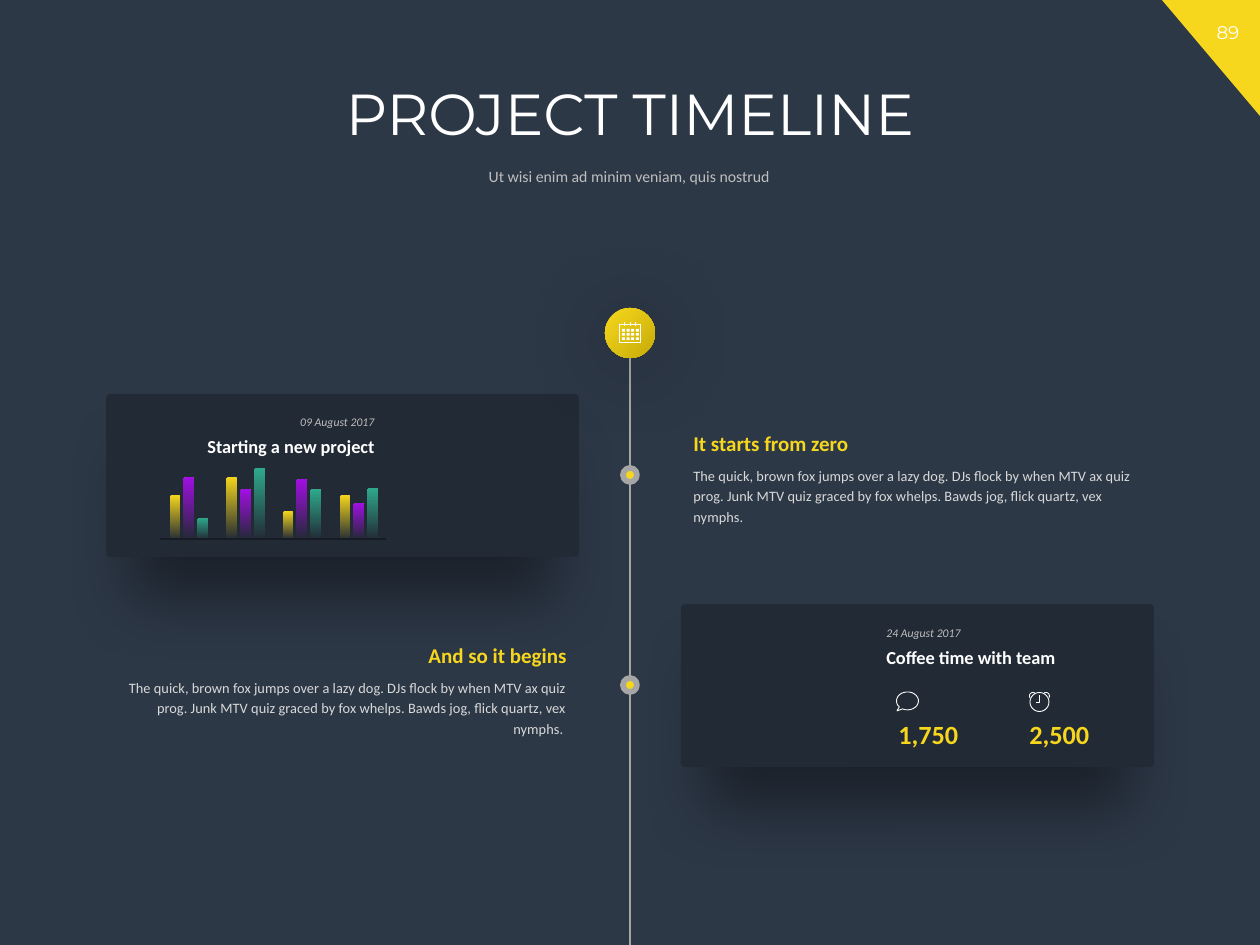
from dataclasses import dataclass
from math import cos, radians, sin

from pptx import Presentation
from pptx.dml.color import RGBColor
from pptx.enum.shapes import MSO_CONNECTOR, MSO_SHAPE
from pptx.enum.text import MSO_ANCHOR, MSO_AUTO_SIZE, PP_ALIGN
from pptx.oxml import parse_xml
from pptx.oxml.ns import nsdecls, qn
from pptx.util import Emu, Pt

LEFT, CENTER, RIGHT = PP_ALIGN.LEFT, PP_ALIGN.CENTER, PP_ALIGN.RIGHT
TOP, MIDDLE = MSO_ANCHOR.TOP, MSO_ANCHOR.MIDDLE
NO_FIT = MSO_AUTO_SIZE.NONE
TRIANGLE, OVAL, ROUNDED = MSO_SHAPE.RIGHT_TRIANGLE, MSO_SHAPE.OVAL, MSO_SHAPE.ROUNDED_RECTANGLE
ROUND_TOP = MSO_SHAPE.ROUND_2_SAME_RECTANGLE
STRAIGHT = MSO_CONNECTOR.STRAIGHT
SCALE = 914400 / 126
AXIS_X = 630


@dataclass(frozen=True)
class Style:
    size: float
    color: str
    name: str = "Calibri"
    bold: bool = False
    italic: bool = False


@dataclass(frozen=True)
class Theme:
    back: str = "2D3847"
    card: str = "222A35"
    yellow: str = "F6D71E"
    gold: str = "C7AC08"
    purple: str = "A40FE7"
    green: str = "2FAB8D"
    grey: str = "A6A6A6"
    dark: str = "171C24"
    white: str = "FFFFFF"
    title: Style = Style(33, "FFFFFF", "Montserrat")
    subtitle: Style = Style(9, "BFBFBF")
    page: Style = Style(10.5, "FFFFFF", "Montserrat")
    heading: Style = Style(12, "F6D71E", bold=True)
    body: Style = Style(8.25, "D9D9D9")
    date: Style = Style(6.75, "BFBFBF", italic=True)
    event: Style = Style(10.5, "FFFFFF", bold=True)
    number: Style = Style(15, "F6D71E", bold=True)


T = Theme()


@dataclass(frozen=True)
class Label:
    text: str
    box: tuple[int, int, int, int]
    style: Style
    align: PP_ALIGN = LEFT
    spacing: float = 1.2


@dataclass(frozen=True)
class Icon:
    contours: list[list[tuple[float, float]]]
    closed: bool = False
    filled: bool = False


def px(value: float) -> Emu:
    return Emu(round(value * SCALE))


def rgb(value: str) -> RGBColor:
    return RGBColor.from_string(value)


def set_text(tf, text: str, style: Style, align: PP_ALIGN, spacing: float):
    tf.word_wrap = True
    p = tf.paragraphs[0]
    p.alignment, p.line_spacing = align, spacing
    r = p.add_run()
    r.text = text
    formats = {"name": style.name, "size": Pt(style.size), "bold": style.bold, "italic": style.italic}
    for key, value in formats.items():
        setattr(r.font, key, value)
    r.font.color.rgb = rgb(style.color)
    return p


def add_label(s, label: Label) -> None:
    tf = s.shapes.add_textbox(*map(px, label.box)).text_frame
    set_text(tf, label.text, label.style, label.align, label.spacing)


def fill_placeholder(sp, box, text: str, style: Style, anchor: MSO_ANCHOR):
    sp.left, sp.top, sp.width, sp.height = map(px, box)
    tf = sp.text_frame
    tf.auto_size, tf.vertical_anchor = NO_FIT, anchor
    return set_text(tf, text, style, CENTER, 0.9)


def set_line(line, color: str, weight: float) -> None:
    line.color.rgb = rgb(color)
    line.width = Pt(weight)


def add_line(s, start: tuple[int, int], end: tuple[int, int], color: str, weight: float) -> None:
    line = s.shapes.add_connector(STRAIGHT, *map(px, start + end))
    set_line(line.line, color, weight)
    line.element.spPr.append(parse_xml(f'<a:effectLst {nsdecls("a")}/>'))


def set_gradient(fill, start: str, end: str, angle: int) -> None:
    fill.gradient()
    fill.gradient_angle = angle
    for stop, color in zip(fill.gradient_stops, (start, end)):
        stop.color.rgb = rgb(color)


def add_shape(s, kind: MSO_SHAPE, box, color: str):
    sp = s.shapes.add_shape(kind, *map(px, box))
    sp.shadow.inherit = False
    sp.fill.solid()
    sp.fill.fore_color.rgb = rgb(color)
    sp.line.fill.background()
    return sp


def cast_shadow(sp, blur: int, distance: int, percent: int) -> None:
    effects = sp.element.spPr.find(qn("a:effectLst"))
    effects.append(parse_xml(
        f'<a:outerShdw {nsdecls("a")} blurRad="{Pt(blur)}" dist="{Pt(distance)}" dir="5400000" '
        f'sx="{percent * 1000}" sy="{percent * 1000}" algn="ctr" rotWithShape="0">'
        '<a:srgbClr val="000000"><a:alpha val="40000"/></a:srgbClr></a:outerShdw>'))


def add_card(s, x: int, y: int) -> None:
    sp = add_shape(s, ROUNDED, (x, y, 473, 163), T.card)
    sp.adjustments[0] = 0.026
    cast_shadow(sp, 37, 29, 90)


def add_bar(s, x: int, height: int, base: int, color: str) -> None:
    sp = add_shape(s, ROUND_TOP, (x, base - height, 9, height), color)
    set_gradient(sp.fill, color, color, 270)
    last = sp.element.spPr.findall(".//" + qn("a:srgbClr"))[-1]
    last.append(parse_xml(f'<a:alpha {nsdecls("a")} val="0"/>'))


def add_bars(s, left: int, base: int, groups: list[tuple[int, int, int]]) -> None:
    for i, heights in enumerate(groups):
        for j, (height, color) in enumerate(zip(heights, (T.yellow, T.purple, T.green))):
            add_bar(s, left + 10 + round(56.6 * i) + 14 * j, height, base, color)
    add_line(s, (left, base), (left + 226, base), T.dark, 1)


def arc(cx: float, cy: float, rx: float, ry: float, start: int, end: int) -> list[tuple[float, float]]:
    angles = [radians(start + (end - start) * i / 24) for i in range(25)]
    return [(cx + rx * cos(a), cy + ry * sin(a)) for a in angles]


def rect(x: float, y: float, w: float, h: float) -> list[tuple[float, float]]:
    return [(x, y), (x + w, y), (x + w, y + h), (x, y + h)]


def add_icon(s, icon: Icon) -> None:
    contours = [[(px(x), px(y)) for x, y in points] for points in icon.contours]
    builder = s.shapes.build_freeform(*contours[0][0])
    for points in contours:
        builder.move_to(*points[0])
        builder.add_line_segments(points[1:], close=icon.closed)
    sp = builder.convert_to_shape()
    sp.shadow.inherit = False
    if icon.filled:
        sp.fill.solid()
        sp.fill.fore_color.rgb = rgb(T.white)
        sp.line.fill.background()
    else:
        sp.fill.background()
        set_line(sp.line, T.white, 0.5)


BLURB = ("The quick, brown fox jumps over a lazy dog. DJs flock by when MTV ax quiz prog. "
         "Junk MTV quiz graced by fox whelps. Bawds jog, flick quartz, vex nymphs.")
LABELS = [
    Label("89", (1196, 15, 64, 35), T.page, CENTER, 1),
    Label(BLURB, (681, 457, 473, 76), T.body),
    Label("It starts from zero", (681, 419, 473, 43), T.heading),
    Label(BLURB + " ", (106, 669, 473, 76), T.body, RIGHT),
    Label("And so it begins", (106, 631, 473, 43), T.heading, RIGHT),
    Label("24 August 2017", (874, 617, 266, 30), T.date),
    Label("Coffee time with team", (874, 636, 266, 39), T.event),
    Label("1,750", (886, 712, 112, 44), T.number, spacing=1),
    Label("2,500", (1017, 712, 112, 44), T.number, spacing=1),
    Label("09 August 2017", (121, 406, 266, 30), T.date, RIGHT),
    Label("Starting a new project", (121, 425, 266, 39), T.event, RIGHT),
]
ICONS = [
    Icon([arc(907.5, 701, 11, 9, 138, 477) + [(897, 711)]], closed=True),
    Icon([arc(1039.5, 702, 9.5, 9.5, 0, 360), [(1039.5, 695), (1039.5, 702), (1036, 702)],
          arc(1033, 696, 3.5, 3.5, 150, 300), arc(1046, 696, 3.5, 3.5, 240, 390)]),
    Icon([rect(619.5, 324.5, 21, 18)], closed=True),
    Icon([[(x, 322), (x, 326)] for x in (624.5, 630, 635.5)]),
    Icon([rect(622 + 4.6 * i, 329 + 4.2 * j, 3, 2.6) for j in range(3) for i in range(4)],
         closed=True, filled=True),
]
BARS = [(43, 61, 20), (61, 49, 70), (27, 59, 49), (43, 35, 50)]


def main() -> None:
    prs = Presentation()
    prs.slide_width, prs.slide_height = px(1260), px(945)
    s = prs.slides.add_slide(prs.slide_layouts[0])
    s.background.fill.solid()
    s.background.fill.fore_color.rgb = rgb(T.back)
    title, subtitle = s.placeholders
    fill_placeholder(title, (72, 79, 1116, 92), "PROJECT TIMELINE", T.title, TOP)
    p = fill_placeholder(subtitle, (175, 161, 908, 33), "Ut wisi enim ad minim veniam, quis nostrud",
                         T.subtitle, MIDDLE)
    p.space_before = Pt(9)
    add_shape(s, TRIANGLE, (1162, 0, 98, 116), T.yellow).rotation = 180
    add_line(s, (AXIS_X, 333), (AXIS_X, 945), T.grey, 1.25)
    for x, y in ((681, 604), (106, 394)):
        add_card(s, x, y)
    for y in (475, 685):
        set_line(add_shape(s, OVAL, (AXIS_X - 7, y - 7, 14, 14), T.yellow).line, T.grey, 3.25)
    badge = add_shape(s, OVAL, (AXIS_X - 25, 308, 50, 50), T.yellow)
    set_gradient(badge.fill, T.yellow, T.gold, 315)
    cast_shadow(badge, 50, 4, 100)
    add_bars(s, 160, 539, BARS)
    for label in LABELS:
        add_label(s, label)
    for icon in ICONS:
        add_icon(s, icon)
    prs.save("out.pptx")


if __name__ == "__main__":
    main()
